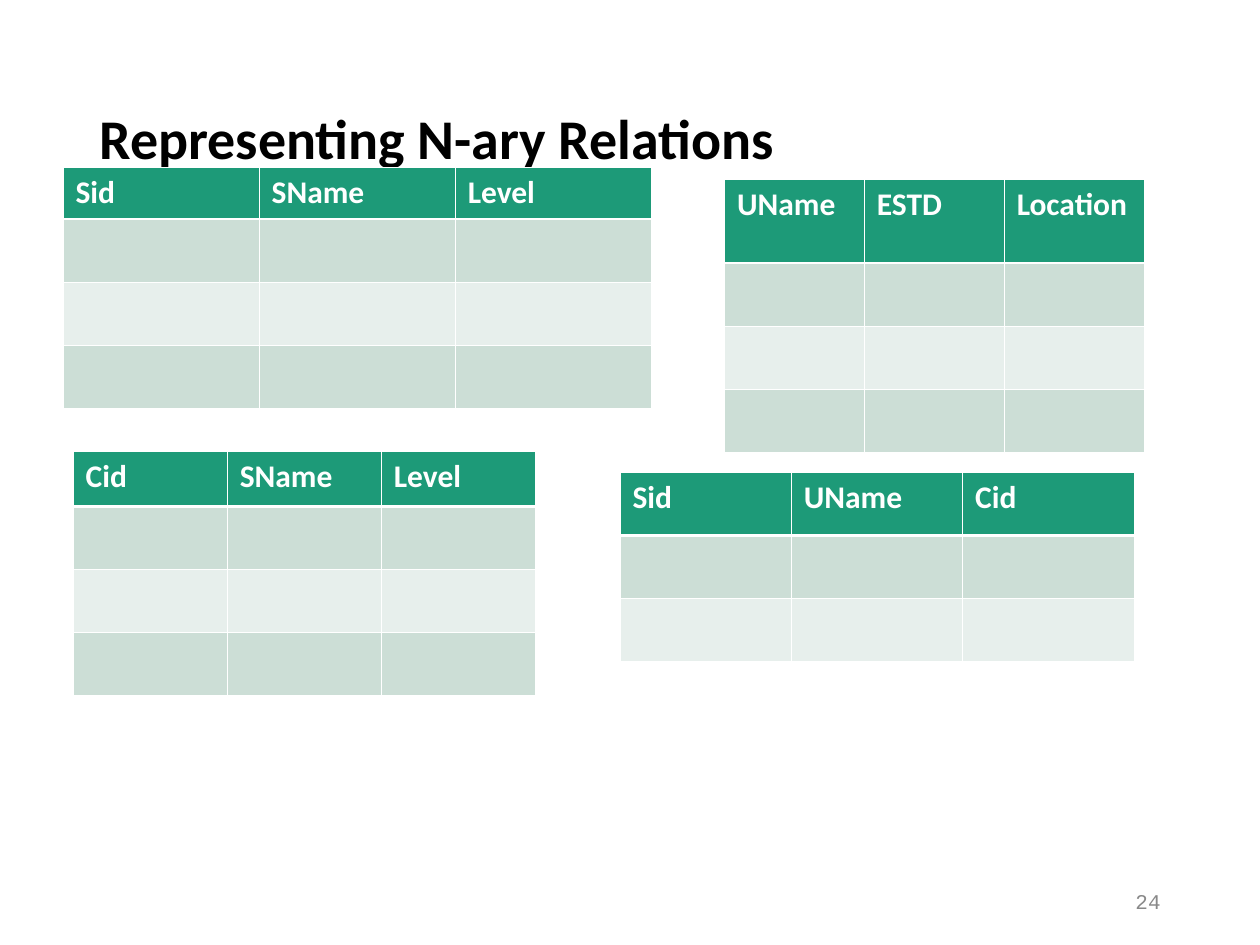
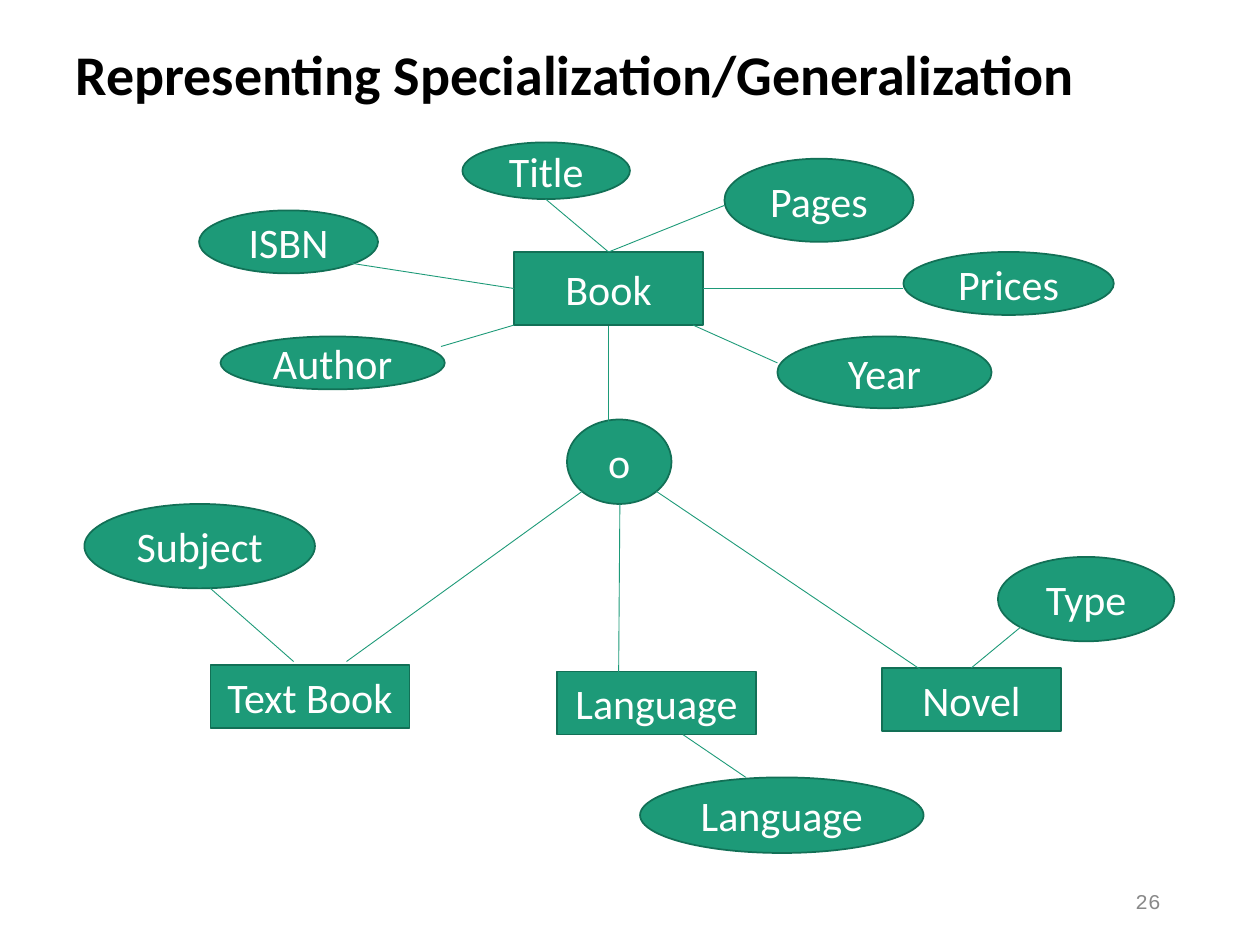
from lxml import etree
from pptx import Presentation
from pptx.dml.color import RGBColor
from pptx.enum.shapes import MSO_CONNECTOR, MSO_SHAPE
from pptx.enum.text import MSO_ANCHOR, PP_ALIGN
from pptx.oxml.ns import qn
from pptx.util import Inches, Pt

RECT, OVAL = MSO_SHAPE.RECTANGLE, MSO_SHAPE.OVAL
STRAIGHT = MSO_CONNECTOR.STRAIGHT
MIDDLE = MSO_ANCHOR.MIDDLE
LEFT, CENTER, RIGHT = PP_ALIGN.LEFT, PP_ALIGN.CENTER, PP_ALIGN.RIGHT

COLORS = {
    "title": "000000",
    "green": "1D9A78",
    "outline": "127056",
    "white": "FFFFFF",
    "band_dark": "CCDED6",
    "band_light": "E7EFEC",
    "page": "898989",
}
BODY_FONT, PAGE_FONT = "Calibri", "Courier New"
THIN, THICK = 0.45, 1.47

# Relations: left, top, width, row heights, column names
RELATIONS = [
    (0.5, 1.33, 4.67, [0.41] * 4, ["Sid", "SName", "Level"]),
    (5.75, 1.42, 3.33, [0.67, 0.42, 0.41, 0.41], ["UName", "ESTD", "Location"]),
    (4.92, 3.75, 4.08, [0.5] * 3, ["Sid", "UName", "Cid"]),
    (0.58, 3.58, 3.67, [0.44] * 4, ["Cid", "SName", "Level"]),
]

# Diagram nodes: text, left, top, width, height
ENTITIES = [
    ("Book", 4.08, 2, 1.5, 0.58),
    ("Text Book", 1.67, 5.28, 1.58, 0.5),
    ("Language", 4.42, 5.33, 1.58, 0.5),
    ("Novel", 7, 5.3, 1.42, 0.5),
]
OVERLAP_AND_ATTRIBUTES = [
    ("o", 4.5, 3.33, 0.83, 0.67),
    ("ISBN", 1.58, 1.67, 1.42, 0.5),
    ("Title", 3.67, 1.13, 1.33, 0.45),
    ("Pages", 5.75, 1.26, 1.5, 0.66),
    ("Prices", 7.17, 2, 1.67, 0.5),
    ("Author", 1.75, 2.67, 1.78, 0.42),
    ("Year", 6.17, 2.67, 1.7, 0.57),
    ("Subject", 0.67, 4, 1.83, 0.67),
    ("Language", 5.08, 6.17, 2.25, 0.6),
    ("Type", 7.92, 4.42, 1.4, 0.67),
]

# Links: start x, start y, end x, end y
SPECIALIZATION_LINKS = [
    (4.83, 2.59, 4.83, 3.42),
    (4.62, 3.9, 2.75, 5.25),
    (5.21, 3.9, 7.33, 5.33),
    (4.92, 4, 4.91, 5.34),
]
ATTRIBUTE_LINKS = [
    (4.83, 2, 5.75, 1.63),
    (4.83, 2, 4.33, 1.58),
    (4.08, 2.29, 2.79, 2.09),
    (4.08, 2.58, 3.5, 2.75),
    (5.58, 2.29, 7.17, 2.29),
    (5.5, 2.58, 6.17, 2.88),
    (2.33, 5.25, 1.67, 4.67),
    (7.71, 5.3, 8.17, 4.92),
    (5.92, 6.17, 5.42, 5.83),
]


def rgb(name):
    return RGBColor.from_string(COLORS[name])


def inches(*lengths):
    return [Inches(length) for length in lengths]


def write(frame, text, size, color, bold=False, align=LEFT, font_name=BODY_FONT):
    paragraph = frame.paragraphs[0]
    paragraph.text = text
    paragraph.alignment = align
    font = paragraph.font
    font.size, font.bold, font.name = Pt(size), bold, font_name
    font.color.rgb = rgb(color)
    return paragraph


def add_text(slide, box, text, size, color, **style):
    frame = slide.shapes.add_textbox(*inches(*box)).text_frame
    frame.word_wrap = True
    frame.vertical_anchor = MIDDLE
    return write(frame, text, size, color, **style)


def add_page(prs, title, title_box, number):
    """Blank slide with the shared title style and page number."""
    slide = prs.slides.add_slide(prs.slide_layouts[6])
    heading = add_text(slide, title_box, title, 32, "title", bold=True)
    heading.line_spacing = 0.9
    add_text(slide, (7.06, 6.95, 2.25, 0.4), number, 12, "page",
             align=RIGHT, font_name=PAGE_FONT)
    return slide


def set_borders(cell, top, bottom):
    tc_pr = cell._tc.get_or_add_tcPr()
    for side, width in (("L", THIN), ("R", THIN), ("T", top), ("B", bottom)):
        line = etree.SubElement(tc_pr, qn(f"a:ln{side}"), w=str(Pt(width)))
        fill = etree.SubElement(line, qn("a:solidFill"))
        etree.SubElement(fill, qn("a:srgbClr"), val=COLORS["white"])


def size_empty_cell(cell):
    end_mark = cell.text_frame.paragraphs[0]._p.get_or_add_endParaRPr()
    end_mark.set("sz", "2400")
    etree.SubElement(end_mark, qn("a:latin"), typeface=PAGE_FONT)


def add_relation(slide, left, top, width, row_heights, names):
    box = inches(left, top, width, sum(row_heights))
    table = slide.shapes.add_table(len(row_heights), len(names), *box).table
    table.horz_banding = False
    for row, height in enumerate(row_heights):
        table.rows[row].height = Inches(height)
        for column, name in enumerate(names):
            cell = table.cell(row, column)
            set_borders(cell, THICK if row == 1 else THIN, THICK if row == 0 else THIN)
            cell.fill.solid()
            if row == 0:
                cell.fill.fore_color.rgb = rgb("green")
                write(cell.text_frame, name, 18, "white", bold=True)
            else:
                cell.fill.fore_color.rgb = rgb("band_dark" if row % 2 else "band_light")
                size_empty_cell(cell)


def add_node(slide, kind, text, *box):
    node = slide.shapes.add_shape(kind, *inches(*box))
    node.shadow.inherit = False
    node.fill.solid()
    node.fill.fore_color.rgb = rgb("green")
    node.line.color.rgb = rgb("outline")
    node.line.width = Pt(1)
    frame = node.text_frame
    frame.word_wrap = True
    frame.vertical_anchor = MIDDLE
    write(frame, text, 24, "white", align=CENTER)


def add_link(slide, *ends):
    link = slide.shapes.add_connector(STRAIGHT, *inches(*ends))
    link.line.color.rgb = rgb("green")
    link.line.width = Pt(0.5)
    etree.SubElement(link._element.spPr, qn("a:effectLst"))


def main():
    prs = Presentation()
    prs.slide_width, prs.slide_height = inches(10, 7.5)

    # N-ary relations
    relations_slide = add_page(prs, "Representing N-ary Relations",
                               (0.69, 0.4, 8.63, 1.45), "24")
    for relation in RELATIONS:
        add_relation(relations_slide, *relation)

    # Specialization diagram
    diagram_slide = add_page(prs, "Representing Specialization/Generalization",
                             (0.5, 0.3, 9, 0.62), "26")
    for entity in ENTITIES:
        add_node(diagram_slide, RECT, *entity)
    for oval in OVERLAP_AND_ATTRIBUTES:
        add_node(diagram_slide, OVAL, *oval)
    for link in SPECIALIZATION_LINKS + ATTRIBUTE_LINKS:
        add_link(diagram_slide, *link)

    prs.save("out.pptx")


if __name__ == "__main__":
    main()
